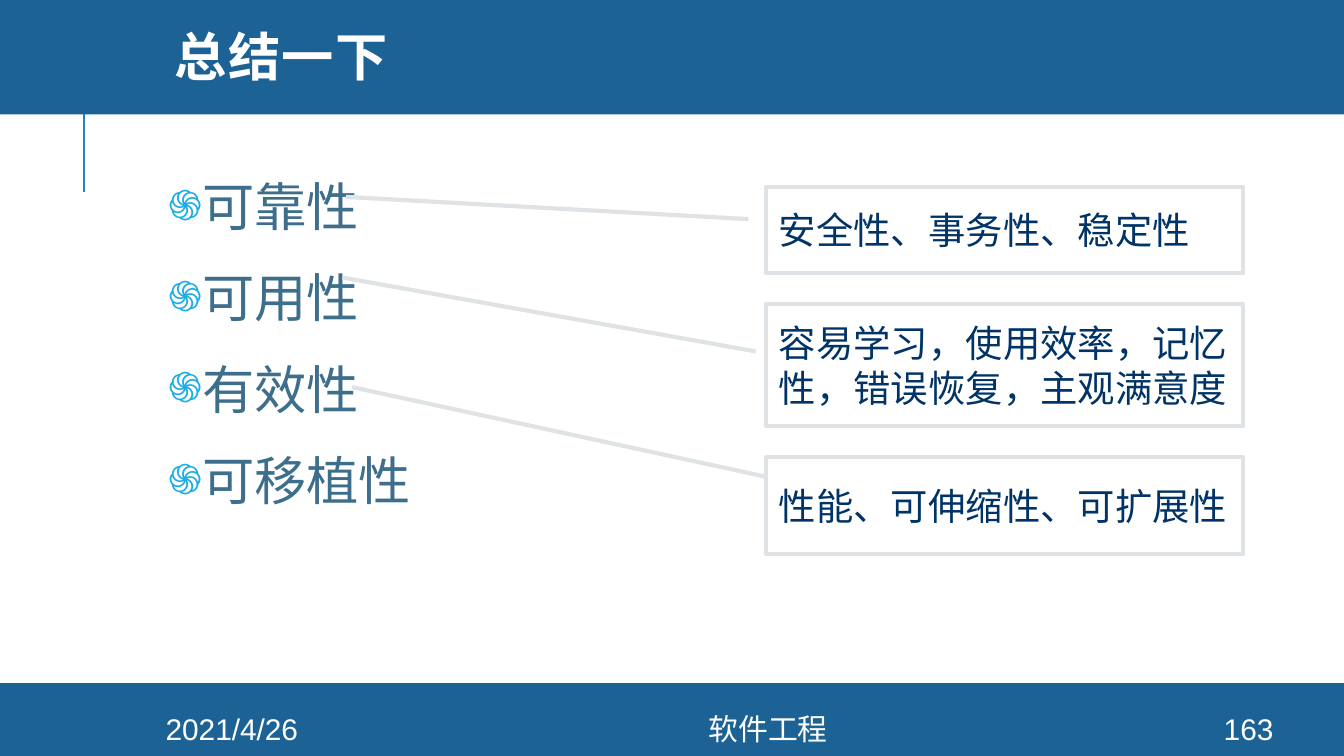
from dataclasses import dataclass

from lxml.etree import SubElement
from pptx import Presentation
from pptx.dml.color import RGBColor
from pptx.enum.shapes import MSO_CONNECTOR as Connector, MSO_SHAPE as Preset
from pptx.enum.text import MSO_ANCHOR as Anchor, MSO_AUTO_SIZE as AutoSize, PP_ALIGN as Align
from pptx.oxml.ns import qn
from pptx.util import Pt


@dataclass(frozen=True)
class Theme:
    """Colours, fonts and type sizes of the slide."""
    band: str = "1D6294"
    accent: str = "2683C6"
    bullet: str = "1CADE4"
    quality: str = "3D6E8C"
    detail: str = "003366"
    border: str = "DFE3E5"
    white: str = "FFFFFF"
    title_font: str = "Montserrat"
    font: str = "Arial"
    large: int = 28
    medium: int = 20
    small: int = 16


THEME = Theme()
QUALITIES = ["可靠性", "可用性", "有效性", "可移植性"]
CALLOUTS = [
    ("安全性、事务性、稳定性", 100.08, 46.08, (0.376, -0.037, 0.118, -0.881)),
    ("容易学习，使用效率，记忆性，错误恢复，主观满意度", 162.72, 65.52,
     (0.39, -0.022, -0.214, -0.888)),
    ("性能、可伸缩性、可扩展性", 244.8, 51.84, (0.203, -0.002, -0.722, -0.868)),
]
FOOTERS = [("163", 640.08, 57.6), ("2021/4/26", 60.48, 127.44), ("软件工程", 187.92, 447.12)]


def rgb(code):
    """Turn a hex code into a colour."""
    return RGBColor.from_string(code)


def add_run(paragraph, words, size, color, font=THEME.font):
    """Add one formatted run to a paragraph."""
    run = paragraph.add_run()
    run.text = words
    run.font.size = Pt(size)
    run.font.name = font
    run.font.color.rgb = rgb(color)
    return run


def set_frame(frame, anchor, inset_x=7.2, inset_y=3.6):
    """Set wrapping, anchor and insets of a text frame."""
    frame.word_wrap = True
    frame.auto_size = AutoSize.NONE
    frame.vertical_anchor = anchor
    frame.margin_left = frame.margin_right = Pt(inset_x)
    frame.margin_top = frame.margin_bottom = Pt(inset_y)


def place(slide, holder, left, top, width, height):
    """Move a placeholder and bring it to the front."""
    holder.left, holder.top = Pt(left), Pt(top)
    holder.width, holder.height = Pt(width), Pt(height)
    slide.shapes.element.append(holder.element)


def add_band(slide, top, height):
    """Add a coloured band across the slide."""
    band = slide.shapes.add_shape(Preset.RECTANGLE, 0, Pt(top), Pt(720), Pt(height))
    band.shadow.inherit = False
    band.fill.solid()
    band.fill.fore_color.rgb = rgb(THEME.band)
    band.line.fill.background()


def add_accent_line(slide):
    """Add the thin vertical line below the header."""
    accent = slide.shapes.add_connector(
        Connector.STRAIGHT, Pt(45), Pt(102.96), Pt(45), Pt(48.96))
    accent.line.color.rgb = rgb(THEME.accent)
    accent.line.width = Pt(1.5)
    SubElement(accent.element.spPr, qn("a:effectLst"))


def add_bullet(paragraph):
    """Give a paragraph its coloured bullet and hanging indent."""
    properties = paragraph._p.get_or_add_pPr()
    properties.set("marL", str(Pt(5.04)))
    properties.set("indent", str(Pt(-33.84)))
    color = SubElement(properties, qn("a:buClr"))
    SubElement(color, qn("a:srgbClr")).set("val", THEME.bullet)
    SubElement(properties, qn("a:buSzPct")).set("val", "80000")
    SubElement(properties, qn("a:buChar")).set("char", "֍")


def fill_title(slide, title):
    """Place and write the title."""
    place(slide, title, 86.4, 0, 611.28, 65.52)
    set_frame(title.text_frame, Anchor.MIDDLE)
    heading = title.text_frame.paragraphs[0]
    heading.alignment = Align.LEFT
    heading.line_spacing = 0.8
    run = add_run(heading, "总结一下", THEME.large, THEME.white, THEME.title_font)
    run.font.bold = True
    run.font._element.set("spc", "80")


def fill_qualities(slide, body):
    """Place and write the bulleted list of qualities."""
    place(slide, body, 86.4, 86.4, 591.12, 285.84)
    frame = body.text_frame
    set_frame(frame, Anchor.TOP, 3.6, 3.6)
    for index, quality in enumerate(QUALITIES):
        item = frame.add_paragraph() if index else frame.paragraphs[0]
        add_bullet(item)
        item.alignment = Align.JUSTIFY
        item.line_spacing = 1.1
        item.space_before = Pt(12 if index else 0)
        add_run(item, quality, THEME.large, THEME.quality)


def add_callout(slide, words, top, height, pointer):
    """Add a bordered callout whose line points to a quality."""
    callout = slide.shapes.add_shape(
        Preset.LINE_CALLOUT_1, Pt(410.4), Pt(top), Pt(255.6), Pt(height))
    callout.shadow.inherit = False
    for index, value in enumerate(pointer):
        callout.adjustments[index] = value
    callout.fill.solid()
    callout.fill.fore_color.rgb = rgb(THEME.white)
    callout.line.color.rgb = rgb(THEME.border)
    callout.line.width = Pt(2.25)
    set_frame(callout.text_frame, Anchor.MIDDLE, 6.75, 3.38)
    detail = callout.text_frame.paragraphs[0]
    detail.alignment = Align.LEFT
    add_run(detail, words, THEME.medium, THEME.detail)


def add_footer(slide, words, left, width):
    """Add one centred text on the footer band."""
    footer = slide.shapes.add_textbox(Pt(left), Pt(382.32), Pt(width), Pt(16.56))
    set_frame(footer.text_frame, Anchor.MIDDLE)
    label = footer.text_frame.paragraphs[0]
    label.alignment = Align.CENTER
    add_run(label, words, THEME.small, THEME.white)


def main():
    """Build and save the slide."""
    deck = Presentation()
    deck.slide_width, deck.slide_height = Pt(720), Pt(405)
    slide = deck.slides.add_slide(deck.slide_layouts[1])
    title, body = slide.placeholders
    add_accent_line(slide)
    add_band(slide, 366, 39)
    add_band(slide, -2, 63.3)
    fill_qualities(slide, body)
    fill_title(slide, title)
    for callout in CALLOUTS:
        add_callout(slide, *callout)
    for footer in FOOTERS:
        add_footer(slide, *footer)
    deck.save("out.pptx")


if __name__ == "__main__":
    main()
